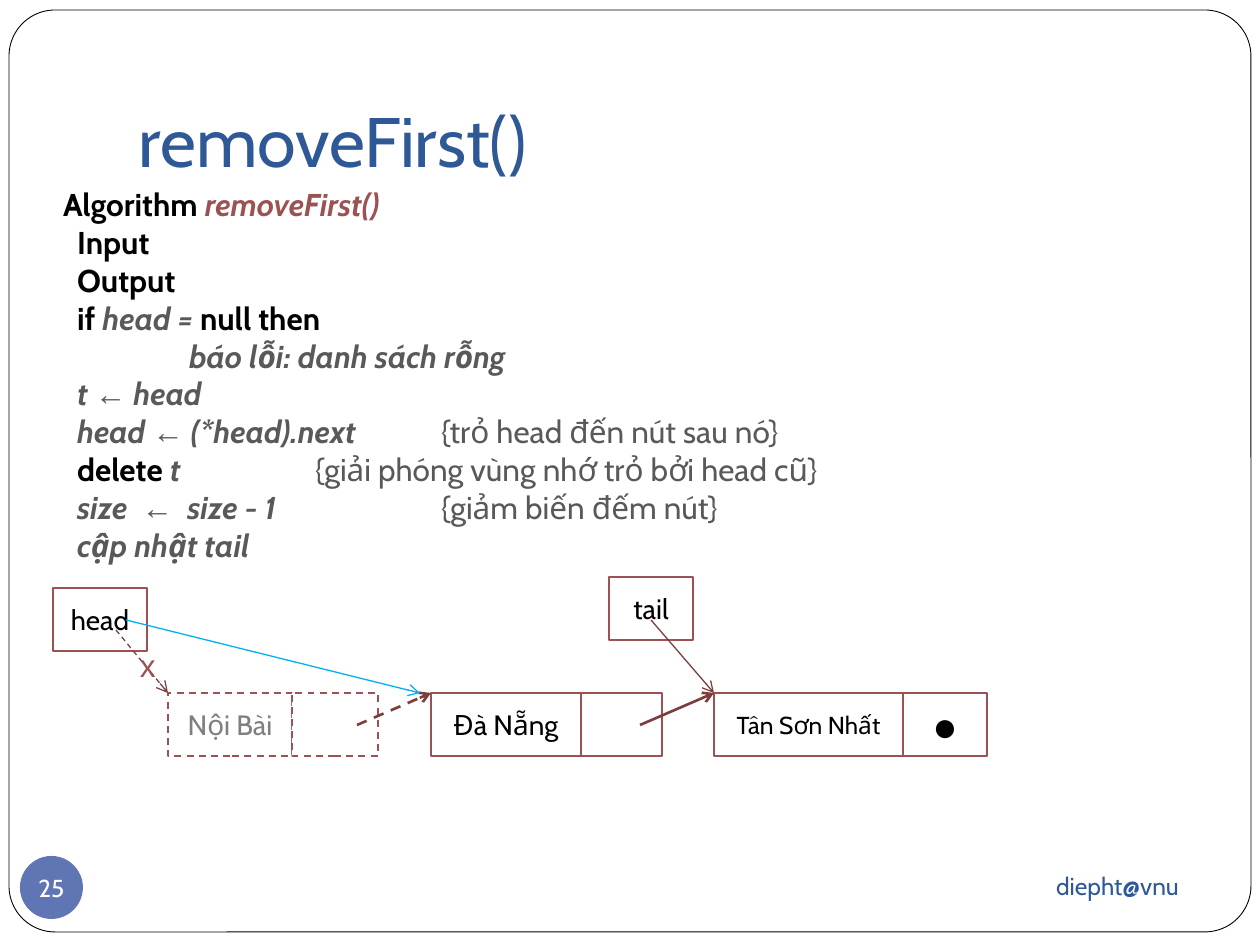
from lxml import etree
from pptx import Presentation
from pptx.dml.color import RGBColor
from pptx.enum.dml import MSO_LINE
from pptx.enum.shapes import MSO_CONNECTOR, MSO_SHAPE
from pptx.enum.text import MSO_ANCHOR, PP_ALIGN
from pptx.oxml.ns import qn
from pptx.util import Pt

DASH = MSO_LINE.DASH
LINE = MSO_CONNECTOR.STRAIGHT
RECT, ROUND, OVAL = MSO_SHAPE.RECTANGLE, MSO_SHAPE.ROUNDED_RECTANGLE, MSO_SHAPE.OVAL
TOP, MID, LOW = MSO_ANCHOR.TOP, MSO_ANCHOR.MIDDLE, MSO_ANCHOR.BOTTOM
LEFT, MIDDLE, RIGHT = PP_ALIGN.LEFT, PP_ALIGN.CENTER, PP_ALIGN.RIGHT

INCH = 126
EMU = 914400 / INCH
INSET = 13
COLORS = {
    "white": "FFFFFF", "black": "000000", "navy": "2F5897", "badge": "6076B4",
    "red": "9C5252", "dark": "7E3D3D", "blue": "00B0F0", "gray": "7F7F7F",
    "text": "595959",
}

STYLES = {
    "key": ("black", True, False, "Cabin"),
    "name": ("red", True, True, "Cabin"),
    "var": ("text", True, True, "Cabin"),
    "sign": ("text", True, True, "Arial"),
    "note": ("text", False, False, "Cabin"),
}
CODE = [
    (0, [("Algorithm ", "key"), ("removeFirst()", "name")]),
    (0, [("  Input", "key")]),
    (0, [("  Output", "key")]),
    (0, [("  if", "key"), (" head = ", "var"), ("null then", "key")]),
    (1, [("\tbáo lỗi: danh sách rỗng", "var")]),
    (0, [("  t ", "var"), ("←", "sign"), (" head", "var")]),
    (3, [("  head ", "var"), ("←", "sign"), (" (*head).next\t", "var"),
         ("{trỏ head đến nút sau nó}", "note")]),
    (2, [("  delete", "key"), (" t\t", "var"),
         ("{giải phóng vùng nhớ trỏ bởi head cũ}", "note")]),
    (3, [("  size  ", "var"), ("←", "sign"), ("  size - 1\t", "var"),
         ("{giảm biến đếm nút}", "note")]),
    (0, [("  cập nhật tail", "var")]),
]

ROW, TALL = 693, 63
NODES = [
    (168, 124, 86, "Nội Bài", 16, "gray", DASH, ""),
    (431, 150, 81, "Đà Nẵng", 16, "black", None, ""),
    (714, 189, 84, "Tân Sơn Nhất", 14, "black", None, "●"),
]
ENDS = [("head", 53, 588, 94), ("tail", 609, 577, 84)]
ARROWS = [
    (357, 725, 431, ROW, "dark", 1.5, DASH),
    (640, 725, 714, ROW, "dark", 1.5, None),
    (116, 630, 168, ROW, "dark", 0.75, DASH),
    (651, 620, 714, ROW, "dark", 0.75, None),
    (126, 620, 420, ROW, "blue", 0.75, None),
]


def px(*vals):
    return [round(v * EMU) for v in vals]


def rgb(name):
    return RGBColor.from_string(COLORS[name])


def add_run(para, text, size=18, color="black", bold=False, italic=False, face="Cabin"):
    run = para.add_run()
    run.text = text
    font = run.font
    font.size, font.name = Pt(size), face
    font.bold, font.italic = bold, italic
    font.color.rgb = rgb(color)


def set_frame(shape, align=LEFT, anchor=TOP, wrap=True, inset=INSET):
    frame = shape.text_frame
    frame.word_wrap, frame.vertical_anchor = wrap, anchor
    frame.margin_left = frame.margin_right = px(inset)[0]
    frame.margin_top = frame.margin_bottom = px(inset / 2)[0]
    frame.paragraphs[0].alignment = align
    return frame


def write(shape, text, align=LEFT, anchor=TOP, wrap=True, inset=INSET, **look):
    frame = set_frame(shape, align, anchor, wrap, inset)
    add_run(frame.paragraphs[0], text, **look)
    return frame


def draw(shapes, kind, box, fill=None, line=None, width=1, dash=None):
    shape = shapes.add_shape(kind, *px(*box))
    shape.shadow.inherit = False
    if fill:
        shape.fill.solid()
        shape.fill.fore_color.rgb = rgb(fill)
    else:
        shape.fill.background()
    if line:
        shape.line.color.rgb = rgb(line)
        shape.line.width = Pt(width)
        if dash:
            shape.line.dash_style = dash
    else:
        shape.line.fill.background()
    return shape


def draw_node(shapes, left, wide, slot, text, size, color, dash, mark):
    group = shapes.add_group_shape().shapes
    cell = draw(group, RECT, (left, ROW, wide, TALL), "white", "red", dash=dash)
    write(cell, text, MIDDLE, MID, size=size, color=color)
    link = draw(group, RECT, (left + wide, ROW, slot, TALL), "white", "red", dash=dash)
    if mark:
        write(link, mark, MIDDLE, MID, size=24, face="Arial")


def draw_arrow(shapes, x1, y1, x2, y2, color, width, dash):
    arrow = shapes.add_connector(LINE, *px(x1, y1, x2, y2))
    arrow.line.color.rgb = rgb(color)
    arrow.line.width = Pt(width)
    if dash:
        arrow.line.dash_style = dash
    etree.SubElement(arrow.line._get_or_add_ln(), qn("a:tailEnd"), type="arrow")
    etree.SubElement(arrow.element.spPr, qn("a:effectLst"))


def write_code(shape):
    frame = set_frame(shape)
    for row, (stop, runs) in enumerate(CODE):
        para = frame.add_paragraph() if row else frame.paragraphs[0]
        if stop:
            tabs = etree.SubElement(para._p.get_or_add_pPr(), qn("a:tabLst"))
            etree.SubElement(tabs, qn("a:tab"), pos=str(px(stop * INCH)[0]), algn="l")
        for text, style in runs:
            color, bold, italic, face = STYLES[style]
            add_run(para, text, color=color, bold=bold, italic=italic, face=face)


def main():
    deck = Presentation()
    deck.slide_width, deck.slide_height = px(1260, 945)
    slide = deck.slides.add_slide(deck.slide_layouts[5])
    shapes = slide.shapes

    edge = draw(shapes, ROUND, (9, 10, 1242, 922), line="black", width=0.5)
    edge.adjustments[0] = 0.05

    title = shapes.title
    title.left, title.top, title.width, title.height = px(126, 38, 1071, 157)
    frame = write(title, "removeFirst()", anchor=LOW, size=40, color="navy")
    frame.margin_bottom = px(INSET)[0]

    for node in NODES:
        draw_node(shapes, *node)
    for name, left, top, wide in ENDS:
        box = draw(shapes, RECT, (left, top, wide, TALL), "white", "red")
        write(box, name, MIDDLE, MID, size=16)
    for arrow in ARROWS:
        draw_arrow(shapes, *arrow)

    cross = shapes.add_textbox(*px(127, 640, 40, 50))
    write(cross, "x", wrap=False, color="red", face="Arial")
    write_code(shapes.add_textbox(*px(50, 179, 966, 391)))

    foot = shapes.add_textbox(*px(851, 853, 341, 66))
    write(foot, "diepht@vnu", RIGHT, MID, size=14, color="navy")
    badge = draw(shapes, OVAL, (20, 856, 63, 63), "badge")
    write(badge, "25", MIDDLE, MID, wrap=False, inset=0, size=14, color="white")

    deck.save("out.pptx")


if __name__ == "__main__":
    main()
